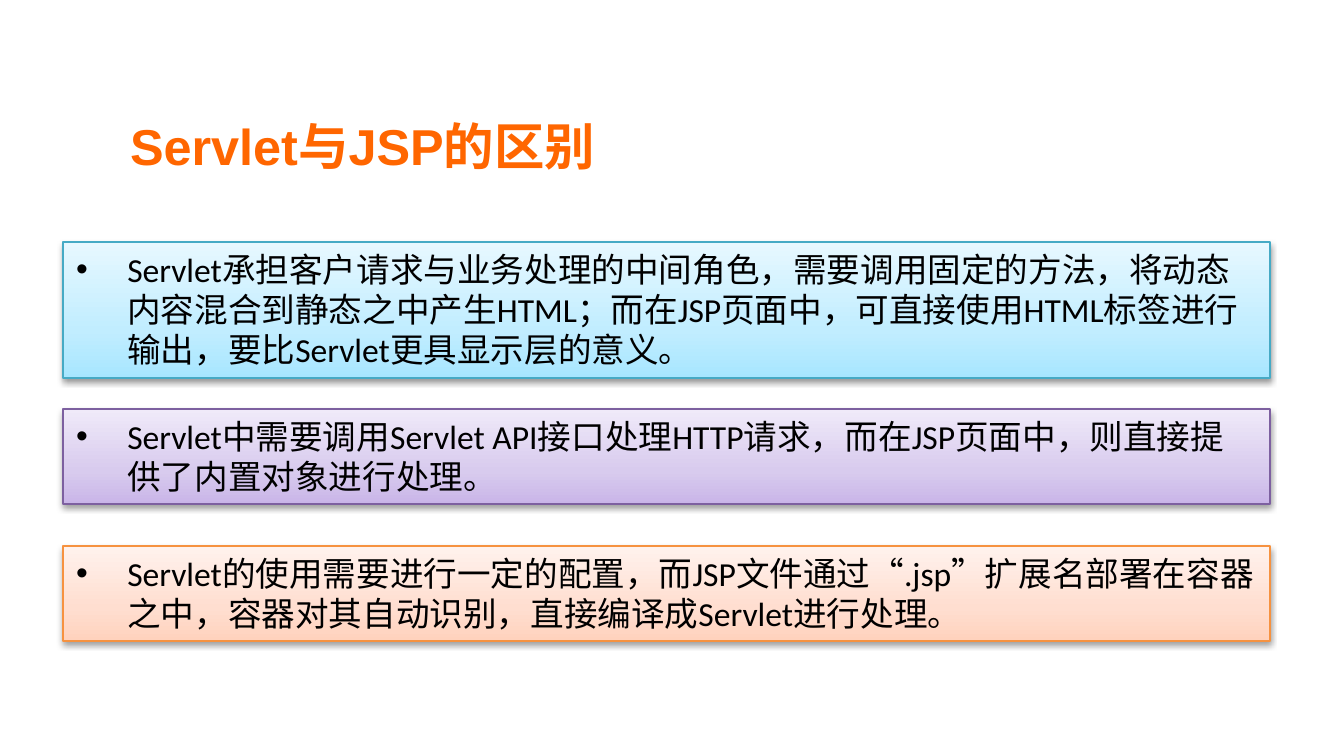
import pptx
import pptx.dml.color
import pptx.enum.shapes
import pptx.enum.text
import pptx.oxml.ns
import pptx.util
from lxml import etree

TITLE = "Servlet与JSP的区别"
# text, top, height, line colour, gradient colours from bottom to top
BOXES = [
    ("Servlet承担客户请求与业务处理的中间角色，需要调用固定的方法，将动态内容混合到静态之中产生HTML；"
     "而在JSP页面中，可直接使用HTML标签进行输出，要比Servlet更具显示层的意义。",
     242, 136, "46AAC5", ("A7E6FF", "C1EDFF", "E7F8FF")),
    ("Servlet中需要调用Servlet API接口处理HTTP请求，而在JSP页面中，则直接提供了内置对象进行处理。",
     409, 95, "7D60A0", ("C9B5E8", "D8CBEE", "F0EAF9")),
    ("Servlet的使用需要进行一定的配置，而JSP文件通过“.jsp”扩展名部署在容器之中，"
     "容器对其自动识别，直接编译成Servlet进行处理。",
     546, 95, "F69240", ("FFD2BD", "FFDED0", "FFF2ED")),
]
THEME = {
    "title": ("Arial", 27, "FF6600", True),
    "body": ("Calibri", 18, "000000", False),
    "line": 0.75,
    "stops": (0, 35, 100),
    "shadow": "000000",
}
BOX_LEFT, BOX_WIDTH, INDENT = 63, 1207, 51
qn = pptx.oxml.ns.qn


def px(n):
    return round(n * 914400 / 134.4)


def rgb(value):
    return pptx.dml.color.RGBColor.from_string(value)


def add_xml(parent, tag, **attrs):
    return etree.SubElement(parent, qn(tag), {k: str(v) for k, v in attrs.items()})


def set_text(tf, text, style):
    tf.text = text
    tf.word_wrap = True
    p = tf.paragraphs[0]
    p.alignment = pptx.enum.text.PP_ALIGN.LEFT
    font = p.runs[0].font
    font.name, size, color, font.bold = THEME[style]
    font.size = pptx.util.Pt(size)
    font.color.rgb = rgb(color)
    return p


def fill_gradient(sp, colors):
    sp.fill.gradient()
    sp.fill.gradient_angle = 90
    stops = sp._element.spPr.find(".//" + qn("a:gsLst"))
    for gs in list(stops):
        stops.remove(gs)
    for pos, color in zip(THEME["stops"], colors):
        add_xml(add_xml(stops, "a:gs", pos=pos * 1000), "a:srgbClr", val=color)


def add_shadow(sp):
    sp.shadow.inherit = False
    effects = sp._element.spPr.find(qn("a:effectLst"))
    shadow = add_xml(effects, "a:outerShdw", blurRad=40000, dist=20000,
                     dir=5400000, rotWithShape=0)
    color = add_xml(shadow, "a:srgbClr", val=THEME["shadow"])
    add_xml(color, "a:alpha", val=38000)


def add_bullet(p):
    pPr = p._p.get_or_add_pPr()
    pPr.set("marL", str(px(INDENT)))
    pPr.set("indent", str(-px(INDENT)))
    add_xml(pPr, "a:buFont", typeface="Arial")
    add_xml(pPr, "a:buChar", char="•")


def add_box(s, text, top, height, line, colors):
    sp = s.shapes.add_shape(pptx.enum.shapes.MSO_SHAPE.RECTANGLE,
                            px(BOX_LEFT), px(top), px(BOX_WIDTH), px(height))
    fill_gradient(sp, colors)
    sp.line.color.rgb = rgb(line)
    sp.line.width = pptx.util.Pt(THEME["line"])
    add_shadow(sp)
    tf = sp.text_frame
    add_bullet(set_text(tf, text, "body"))
    tf.vertical_anchor = pptx.enum.text.MSO_ANCHOR.TOP
    tf.auto_size = pptx.enum.text.MSO_AUTO_SIZE.SHAPE_TO_FIT_TEXT


def add_title(s):
    sp = s.shapes.title
    sp.left, sp.top, sp.width, sp.height = map(px, (120, 94, 825, 103))
    tf = sp.text_frame
    set_text(tf, TITLE, "title")
    tf.vertical_anchor = pptx.enum.text.MSO_ANCHOR.MIDDLE
    tf.auto_size = pptx.enum.text.MSO_AUTO_SIZE.NONE
    tf.margin_left = tf.margin_right = px(10)
    tf.margin_top = tf.margin_bottom = px(5)


def main():
    prs = pptx.Presentation()
    prs.slide_width, prs.slide_height = px(1344), px(756)
    s = prs.slides.add_slide(prs.slide_layouts.get_by_name("Title Only"))
    add_title(s)
    for box in BOXES:
        add_box(s, *box)
    prs.save("out.pptx")


if __name__ == "__main__":
    main()
